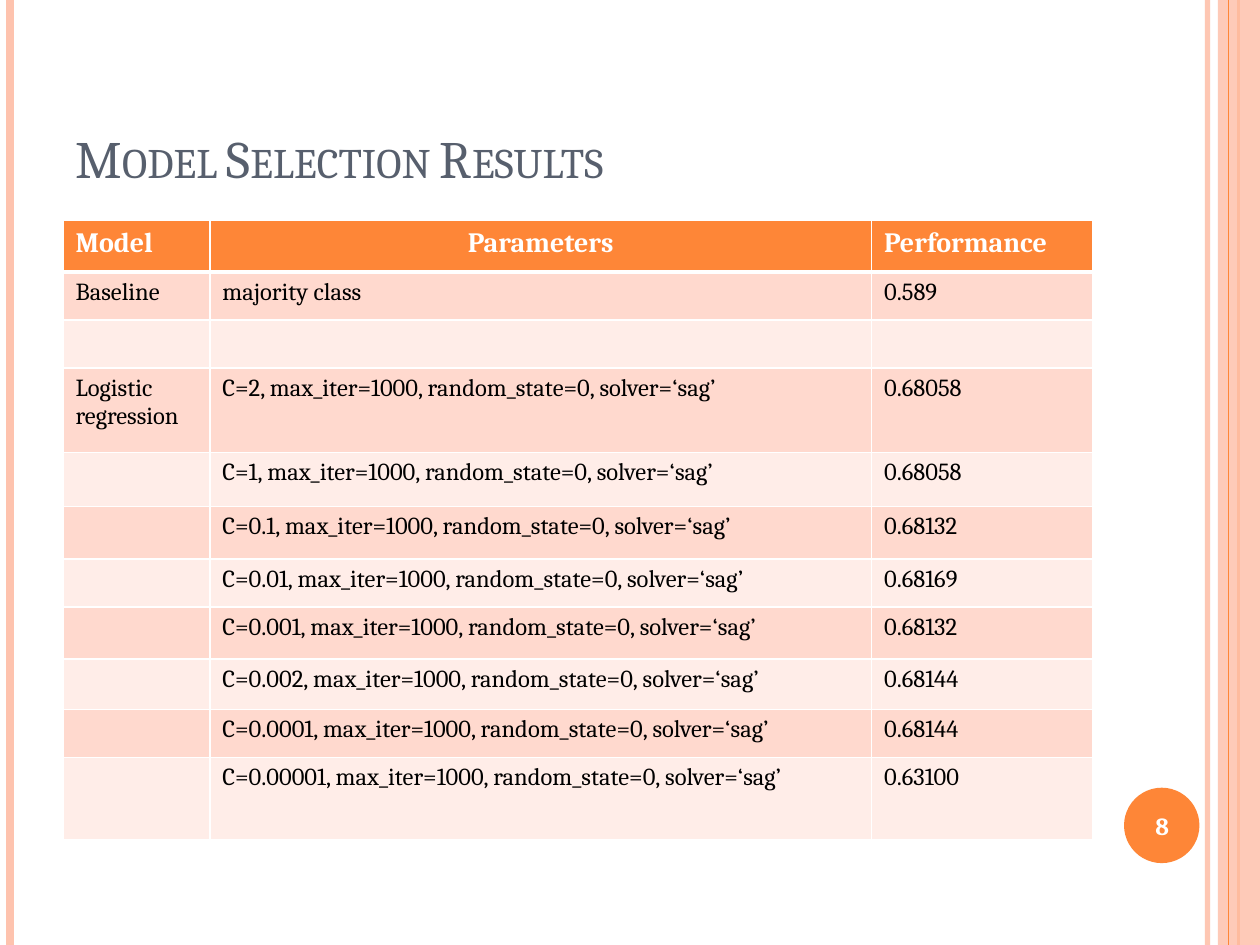
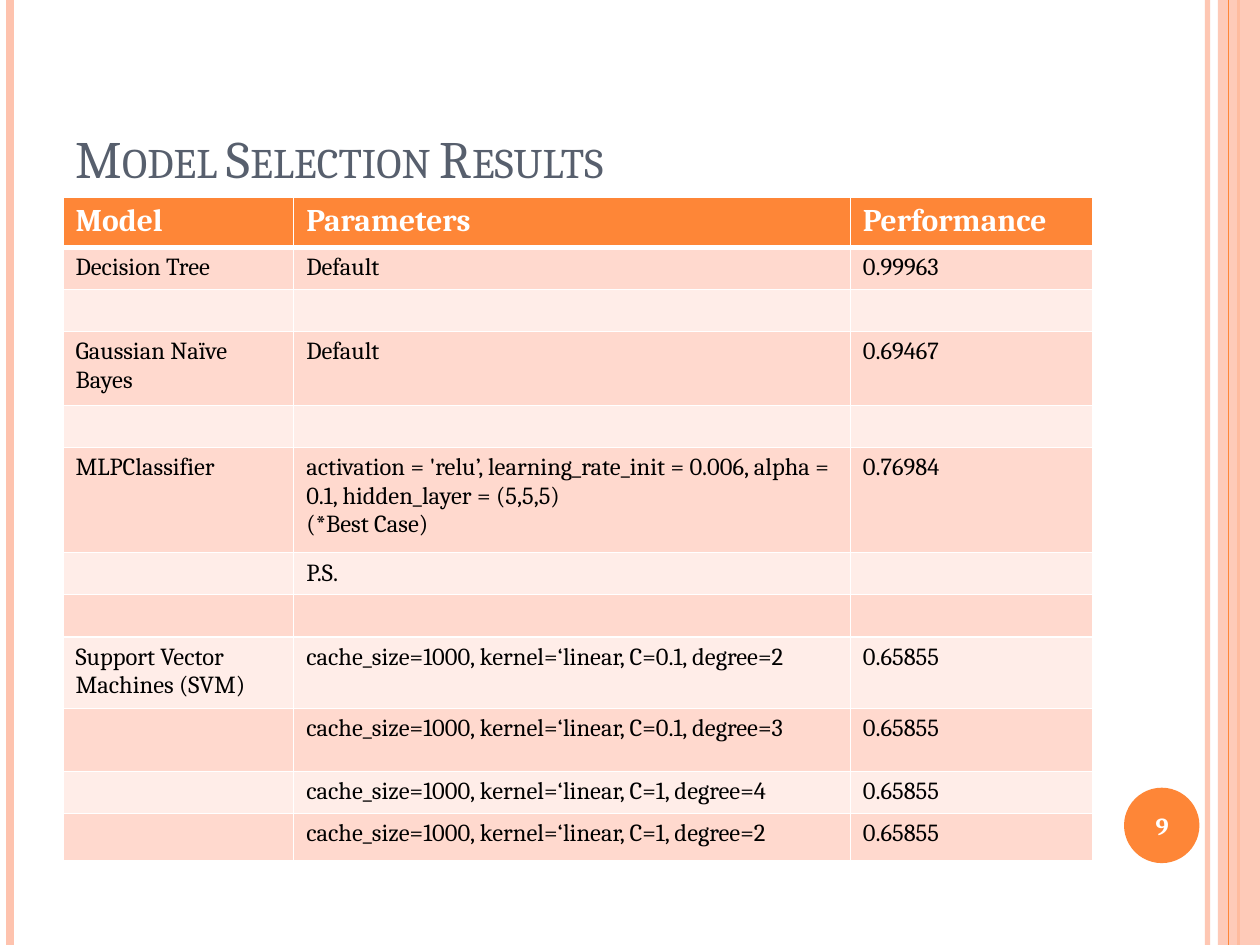
"""Build two slides with tables of model selection results."""

from lxml import etree
from pptx import Presentation
from pptx.dml.color import RGBColor
from pptx.enum.shapes import MSO_CONNECTOR, MSO_SHAPE
from pptx.enum.text import MSO_ANCHOR, MSO_AUTO_SIZE, PP_ALIGN
from pptx.oxml.ns import qn
from pptx.util import Cm, Pt

STRAIGHT = MSO_CONNECTOR.STRAIGHT
RECTANGLE, OVAL = MSO_SHAPE.RECTANGLE, MSO_SHAPE.OVAL
BOTTOM, MIDDLE = MSO_ANCHOR.BOTTOM, MSO_ANCHOR.MIDDLE
LEFT, CENTER = PP_ALIGN.LEFT, PP_ALIGN.CENTER
NO_AUTOFIT = MSO_AUTO_SIZE.NONE

WIDTH, HEIGHT = 25.4, 19.05
MARGIN = 1.27
TITLE_ONLY = 5

TITLE = "Model Selection Results"
HEADINGS = ("Model", "Parameters", "Performance")

REGRESSION_SCORES = [
    ("2", "0.68058"), ("1", "0.68058"), ("0.1", "0.68132"), ("0.01", "0.68169"),
    ("0.001", "0.68132"), ("0.002", "0.68144"), ("0.0001", "0.68144"),
    ("0.00001", "0.63100"),
]
REGRESSION_ROWS = [
    HEADINGS,
    ("Baseline", "majority class", "0.589"),
    ("", "", ""),
] + [
    ("" if index else "Logistic regression",
     f"C={strength}, max_iter=1000, random_state=0, solver=‘sag’", score)
    for index, (strength, score) in enumerate(REGRESSION_SCORES)
]

MACHINE_SETTINGS = [("0.1", 2), ("0.1", 3), ("1", 4), ("1", 2)]
CLASSIFIER_ROWS = [
    HEADINGS,
    ("Decision Tree", "Default", "0.99963"),
    ("", "", ""),
    ("Gaussian Naïve Bayes", "Default", "0.69467"),
    ("", "", ""),
    ("MLPClassifier",
     "activation = 'relu’, learning_rate_init = 0.006, alpha = 0.1, "
     "hidden_layer = (5,5,5)\n(*Best Case)", "0.76984"),
    ("", "P.S.", ""),
    ("", "", ""),
] + [
    ("" if index else "Support Vector Machines (SVM)",
     f"cache_size=1000, kernel=‘linear, C={strength}, degree={degree}", "0.65855")
    for index, (strength, degree) in enumerate(MACHINE_SETTINGS)
]


def color(value):
    return RGBColor.from_string(value)


def set_opacity(element, percent):
    for tint in element.iter(qn("a:srgbClr")):
        etree.SubElement(tint, qn("a:alpha")).set("val", str(percent * 1000))


class SlideBuilder:
    font = "Cambria"
    accent, pale = "FE8637", "FEC3AE"
    white, black, slate = "FFFFFF", "000000", "575F6D"
    stripes = ("FFEDE8", "FFD9CE")

    def __init__(self):
        self.deck = Presentation()
        self.deck.slide_width, self.deck.slide_height = Cm(WIDTH), Cm(HEIGHT)
        self.page = None

    def start(self, number):
        self.page = self.deck.slides.add_slide(self.deck.slide_layouts[TITLE_ONLY])
        self.stripe(24.34, self.pale, 3, 93)
        self.stripe(0.21, self.pale, 4.5)
        self.stripe(24.97, self.accent, 1.5)
        self.shape(RECTANGLE, 24.55, 0, 0.85, HEIGHT, self.pale, 87)
        self.stripe(24.77, self.accent, 0.75)
        self.shape(OVAL, 22.66, 15.88, 1.52, 1.52, self.accent)
        self.title(TITLE)
        self.page_number(number)

    def stripe(self, left, shade, weight, opacity=100):
        line = self.page.shapes.add_connector(
            STRAIGHT, Cm(left), Cm(0), Cm(left), Cm(HEIGHT))
        line.line.color.rgb = color(shade)
        line.line.width = Pt(weight)
        properties = line._element.spPr
        etree.SubElement(properties, qn("a:effectLst"))
        if opacity < 100:
            set_opacity(properties, opacity)

    def shape(self, kind, left, top, width, height, shade, opacity=100):
        shape = self.page.shapes.add_shape(
            kind, Cm(left), Cm(top), Cm(width), Cm(height))
        shape.shadow.inherit = False
        shape.fill.solid()
        shape.fill.fore_color.rgb = color(shade)
        shape.line.fill.background()
        if opacity < 100:
            set_opacity(shape._element.spPr, opacity)

    def format_text(self, frame, size, shade, bold=False, align=LEFT):
        for para in frame.paragraphs:
            para.alignment = align
            for span in para.runs:
                span.font.name = self.font
                span.font.size = Pt(size)
                span.font.bold = bold
                span.font.color.rgb = color(shade)
            if not para.runs:
                ending = etree.SubElement(para._p, qn("a:endParaRPr"))
                ending.set("sz", str(size * 100))
                etree.SubElement(ending, qn("a:latin")).set("typeface", self.font)

    def title(self, text):
        box = self.page.shapes.title
        box.left, box.top = Cm(MARGIN), Cm(0.76)
        box.width, box.height = Cm(20.75), Cm(3.18)
        frame = box.text_frame
        frame.text = text
        frame.auto_size = NO_AUTOFIT
        frame.vertical_anchor = BOTTOM
        self.format_text(frame, 30, self.slate)
        for span in frame.paragraphs[0].runs:
            span._r.get_or_add_rPr().set("cap", "small")

    def page_number(self, number):
        box = self.page.shapes.add_textbox(Cm(22.58), Cm(15.93), Cm(1.7), Cm(1.45))
        frame = box.text_frame
        frame.word_wrap = True
        frame.vertical_anchor = MIDDLE
        frame.text = str(number)
        self.format_text(frame, 14, self.white, True, CENTER)

    def borders(self, cell, row):
        properties = cell._tc.get_or_add_tcPr()
        weights = {"lnL": 1, "lnR": 1, "lnT": 3 if row == 1 else 1,
                   "lnB": 3 if row == 0 else 1}
        for side, weight in weights.items():
            edge = etree.SubElement(properties, qn(f"a:{side}"))
            edge.set("w", str(Pt(weight)))
            fill = etree.SubElement(edge, qn("a:solidFill"))
            etree.SubElement(fill, qn("a:srgbClr")).set("val", self.white)

    def table(self, top, rows, widths, heights, heading_size, centered=()):
        table = self.page.shapes.add_table(
            len(rows), len(widths), Cm(MARGIN), Cm(top),
            Cm(sum(widths)), Cm(sum(heights))).table
        for column, width in zip(table.columns, widths):
            column.width = Cm(width)
        for row, (texts, height) in enumerate(zip(rows, heights)):
            table.rows[row].height = Cm(height)
            for column, text in enumerate(texts):
                cell = table.cell(row, column)
                cell.text_frame.text = text
                self.borders(cell, row)
                cell.fill.solid()
                if row == 0:
                    shade = self.accent
                    align = CENTER if column in centered else LEFT
                    self.format_text(
                        cell.text_frame, heading_size, self.white, True, align)
                else:
                    shade = self.stripes[row % 2]
                    self.format_text(cell.text_frame, 14, self.black)
                cell.fill.fore_color.rgb = color(shade)


def main():
    builder = SlideBuilder()
    builder.start(8)
    builder.table(
        4.45, REGRESSION_ROWS, (2.96, 13.34, 4.45),
        (1.03, 0.97, 0.97, 1.7, 1.09, 1.06, 0.97, 1.04, 1.02, 0.97, 1.65),
        16, centered=(1,))
    builder.start(9)
    builder.table(
        3.97, CLASSIFIER_ROWS, (4.65, 11.22, 4.88),
        (0.95, 0.84, 0.84, 1.49, 0.84, 2.12, 0.84, 0.84, 1.38, 1.27, 0.84, 0.96),
        18)
    builder.deck.save("out.pptx")


if __name__ == "__main__":
    main()
